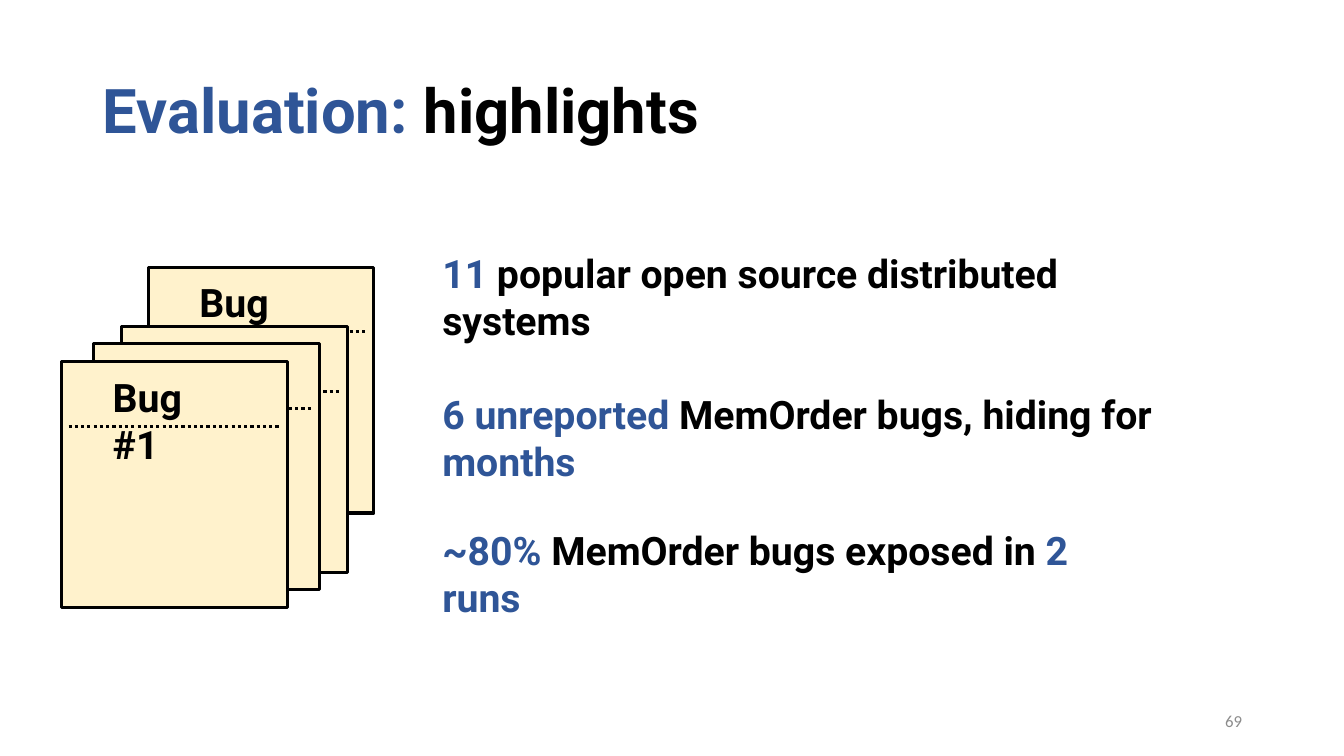
from lxml import etree
from pptx import Presentation
from pptx import util as u
from pptx.dml.color import RGBColor
from pptx.enum import dml, shapes, text

CELL = u.Inches(0.1)
COLUMNS, ROWS = 133.33, 75
BLACK, BLUE, CREAM, GREY = "000000", "2F5597", "FFF2CC", "8C8C8C"
DRAWING_NS = "http://schemas.openxmlformats.org/drawingml/2006/main"


def color(hex_code):
    return RGBColor.from_string(hex_code)


def cells(*counts):
    return [u.Emu(round(count * CELL)) for count in counts]


def add_words(slide, box, phrases, size, font="Roboto", bold=True,
              anchor=text.MSO_ANCHOR.TOP, align=text.PP_ALIGN.LEFT, spacing=1.0):
    frame = slide.shapes.add_textbox(*cells(*box)).text_frame
    frame.word_wrap = True
    frame.vertical_anchor = anchor
    paragraph = frame.paragraphs[0]
    paragraph.alignment = align
    paragraph.line_spacing = spacing
    for words, hex_code in phrases:
        run = paragraph.add_run()
        run.text = words
        run.font.name = font
        run.font.size = u.Pt(size)
        run.font.bold = bold
        run.font.color.rgb = color(hex_code)


def add_bug_card(slide, box, label):
    left, top, width, height = box
    card = slide.shapes.add_shape(shapes.MSO_SHAPE.RECTANGLE, *cells(*box))
    card.shadow.inherit = False
    card.fill.solid()
    card.fill.fore_color.rgb = color(CREAM)
    card.line.color.rgb = color(BLACK)
    card.line.width = u.Pt(2.25)
    if label:
        add_words(slide, (left + 4.1, top + 0.6, 13.5, 5.7), [(label, BLACK)], 28)
    rule_top = top + 6.4
    rule = slide.shapes.add_connector(
        shapes.MSO_CONNECTOR.STRAIGHT,
        *cells(left + 0.7, rule_top, left + width - 0.8, rule_top))
    rule.line.color.rgb = color(BLACK)
    rule.line.width = u.Pt(2.25)
    rule.line.dash_style = dml.MSO_LINE.ROUND_DOT
    etree.SubElement(rule.line._get_or_add_ln().getparent(), f"{{{DRAWING_NS}}}effectLst")


def add_bug_stack(slide, box):
    left, top, width, height = box
    card_width, card_height = 22.4, 24.4
    stack = [
        (width - card_width, 0, "Bug"),
        (6, 5.9, ""),
        (3.2, 7.6, ""),
        (0, height - card_height, "Bug #1"),
    ]
    for right_shift, down_shift, label in stack:
        card_box = (left + right_shift, top + down_shift, card_width, card_height)
        add_bug_card(slide, card_box, label)


def add_title(slide, box):
    add_words(slide, box, [("Evaluation:", BLUE), (" highlights", BLACK)], 44,
              anchor=text.MSO_ANCHOR.MIDDLE, spacing=0.9)


def add_findings(slide, box):
    left, top, width, height = box
    findings = [
        (0, 73.7, [("11", BLUE), (" popular open source distributed systems", BLACK)]),
        (14, width, [("6 unreported ", BLUE), ("MemOrder bugs, hiding for ", BLACK),
                     ("months", BLUE)]),
        (27.5, 68.4, [("~80% ", BLUE), ("MemOrder bugs exposed in ", BLACK),
                      ("2 runs", BLUE)]),
    ]
    for down_shift, finding_width, phrases in findings:
        add_words(slide, (left, top + down_shift, finding_width, 5.7), phrases, 28)


def add_page_number(slide, box):
    add_words(slide, box, [("69", GREY)], 12, font="Calibri", bold=False,
              anchor=text.MSO_ANCHOR.MIDDLE, align=text.PP_ALIGN.RIGHT)


def main():
    deck = Presentation()
    deck.slide_width, deck.slide_height = cells(COLUMNS, ROWS)
    slide = deck.slides.add_slide(deck.slide_layouts[6])
    add_bug_stack(slide, (6.1, 26.5, 31, 33.8))
    add_title(slide, (9.2, 4, 115, 14.5))
    add_findings(slide, (42.9, 24.2, 83, 33.2))
    add_page_number(slide, (94.2, 69.5, 30, 4))
    deck.save("out.pptx")


if __name__ == "__main__":
    main()
